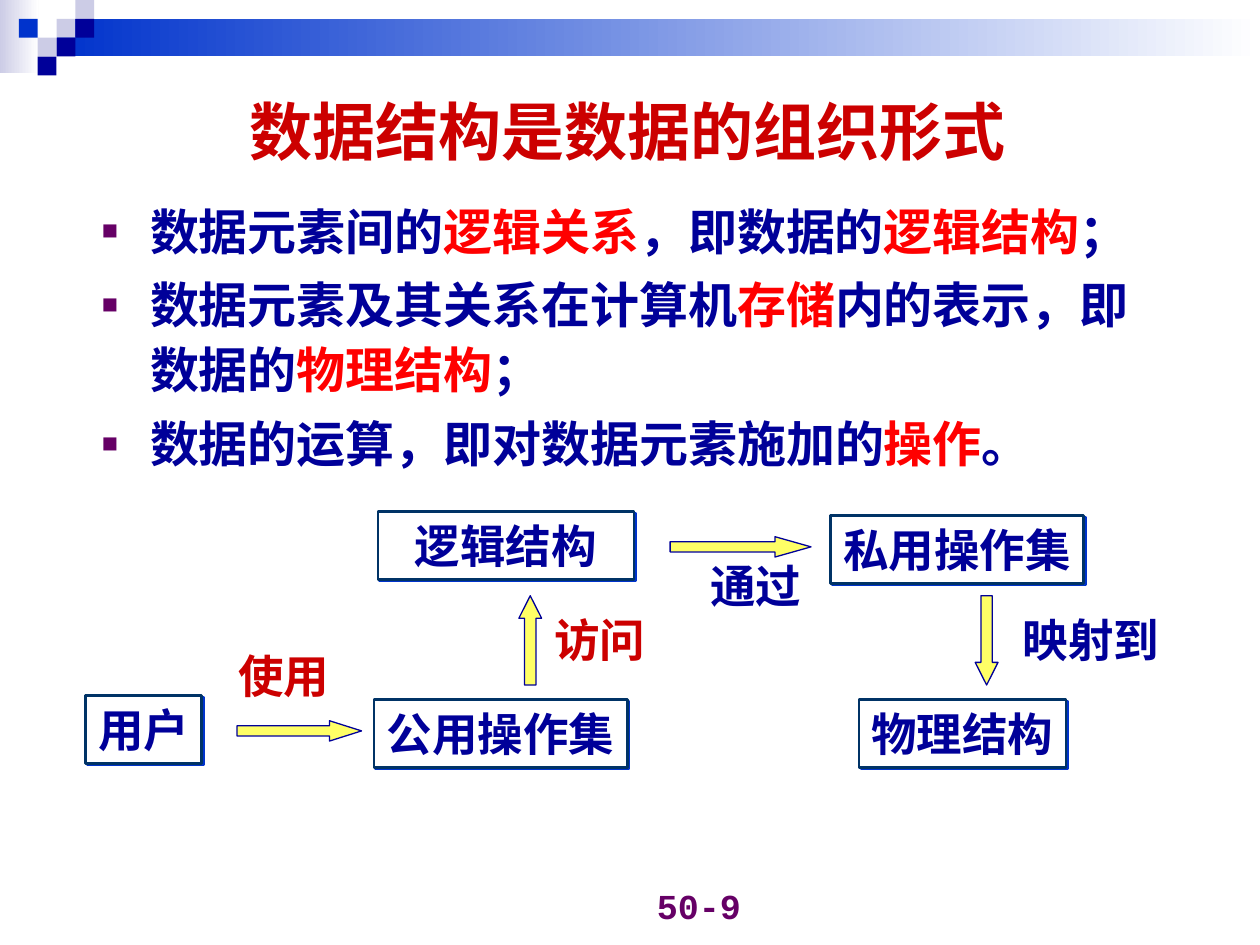
from lxml.etree import SubElement
from pptx import Presentation
from pptx.dml.color import RGBColor
from pptx.enum.shapes import MSO_SHAPE as Preset
from pptx.enum.text import MSO_ANCHOR as Anchor, MSO_AUTO_SIZE as AutoSize, PP_ALIGN as Align
from pptx.oxml.ns import qn
from pptx.util import Cm, Pt

COLORS = {
    "navy": "000099", "blue": "0033CC", "lilac": "CCCCE6", "white": "FFFFFF",
    "title": "CC0000", "key": "FF0000", "purple": "660066",
    "border": "003366", "yellow": "FFFF66",
}
RGB = {name: RGBColor.from_string(value) for name, value in COLORS.items()}


def format_run(run, size, color, font_name="Arial"):
    run.font.name = font_name
    run.font.size = Pt(size)
    run.font.bold = True
    run.font.color.rgb = RGB[color]


def write_line(frame, text, size, color, align=Align.CENTER, font_name="Arial"):
    frame.text = text
    frame.paragraphs[0].alignment = align
    format_run(frame.paragraphs[0].runs[0], size, color, font_name)


prs = Presentation()
prs.slide_width, prs.slide_height = Cm(25.4), Cm(19.05)
slide = prs.slides.add_slide(prs.slide_layouts[1])
shapes = slide.shapes

# Header: two fading bands
for left, top, width, height, start in [
    (0, 0, 0.78, 1.48, "lilac"),
    (1.14, 0.38, 24.26, 0.76, "blue"),
]:
    band = shapes.add_shape(Preset.RECTANGLE, Cm(left), Cm(top), Cm(width), Cm(height))
    band.shadow.inherit = False
    band.line.fill.background()
    band.fill.gradient()
    band.fill.gradient_angle = 0
    for stop, position, color in zip(band.fill.gradient_stops, (0, 1), (start, "white")):
        stop.position = position
        stop.color.rgb = RGB[color]

# Header: squares on a grid (column, row)
CELL = 0.38
for column, row, color in [
    (3, 1, "lilac"), (4, 0, "lilac"), (4, 1, "navy"), (2, 2, "lilac"),
    (1, 1, "blue"), (3, 2, "navy"), (2, 3, "navy"),
]:
    square = shapes.add_shape(Preset.RECTANGLE, Cm(column * CELL), Cm(row * CELL), Cm(CELL), Cm(CELL))
    square.shadow.inherit = False
    square.line.fill.background()
    square.fill.solid()
    square.fill.fore_color.rgb = RGB[color]

# Title
title = shapes.title
title.left, title.top, title.width, title.height = Cm(1.9), Cm(1.42), Cm(21.5), Cm(2.4)
title.text_frame.auto_size = AutoSize.NONE
title.text_frame.vertical_anchor = Anchor.MIDDLE
write_line(title.text_frame, "数据结构是数据的组织形式", 36, "title")

# Body: odd pieces of each point are key terms
points = [
    ["数据元素间的", "逻辑关系", "，即数据的", "逻辑结构", "；"],
    ["数据元素及其关系在计算机", "存储", "内的表示，即数据的", "物理结构", "；"],
    ["数据的运算，即对数据元素施加的", "操作", "。"],
]
body = slide.placeholders[1]
body.left, body.top, body.width, body.height = Cm(1.8), Cm(3.81), Cm(22.1), Cm(6.4)
body.text_frame.auto_size = AutoSize.NONE
for number, pieces in enumerate(points):
    point = body.text_frame.add_paragraph() if number else body.text_frame.paragraphs[0]
    point.line_spacing = 1.1
    point.space_before = Pt(5.2 if number else 0)
    properties = point._p.get_or_add_pPr()
    properties.set("marL", str(Cm(0.97)))
    properties.set("indent", str(Cm(-0.97)))
    bullet_color = SubElement(properties, qn("a:buClr"))
    SubElement(bullet_color, qn("a:srgbClr"), val=COLORS["purple"])
    SubElement(properties, qn("a:buSzPct"), val="55000")
    SubElement(properties, qn("a:buFont"), typeface="Arial")
    SubElement(properties, qn("a:buChar"), char="■")
    for index, piece in enumerate(pieces):
        run = point.add_run()
        run.text = piece
        format_run(run, 28, "key" if index % 2 else "navy")

# Diagram: boxes with a hard offset shadow
ROW_HEIGHT = 1.37
for text, left, top, width in [
    ("逻辑结构", 7.62, 10.31, 5.16),
    ("用户", 1.73, 14.02, 2.34),
    ("物理结构", 17.32, 14.1, 4.17),
    ("公用操作集", 7.54, 14.1, 5.11),
    ("私用操作集", 16.74, 10.39, 5.11),
]:
    box = shapes.add_shape(Preset.RECTANGLE, Cm(left), Cm(top), Cm(width), Cm(ROW_HEIGHT))
    box.fill.solid()
    box.fill.fore_color.rgb = RGB["white"]
    box.line.color.rgb = RGB["border"]
    box.line.width = Pt(1.5)
    box.shadow.inherit = False
    effects = box._element.spPr.find(qn("a:effectLst"))
    shadow = SubElement(effects, qn("a:outerShdw"), dist=str(Pt(1.4)), dir="2700000",
                        algn="ctr", rotWithShape="0")
    SubElement(shadow, qn("a:srgbClr"), val=COLORS["blue"])
    box.text_frame.word_wrap = False
    box.text_frame.vertical_anchor = Anchor.TOP
    write_line(box.text_frame, text, 26, "navy")

# Diagram: block arrows
for preset, left, top, width, height, head in [
    (Preset.RIGHT_ARROW, 4.78, 14.53, 2.51, 0.41, 1.58),
    (Preset.UP_ARROW, 10.46, 12.01, 0.46, 1.8, 0.99),
    (Preset.RIGHT_ARROW, 13.51, 10.82, 2.84, 0.41, 1.77),
    (Preset.DOWN_ARROW, 19.66, 12.01, 0.46, 1.8, 0.99),
]:
    arrow = shapes.add_shape(preset, Cm(left), Cm(top), Cm(width), Cm(height))
    arrow.adjustments[0] = 0.5
    arrow.adjustments[1] = head
    arrow.shadow.inherit = False
    arrow.fill.solid()
    arrow.fill.fore_color.rgb = RGB["yellow"]
    arrow.line.color.rgb = RGB["navy"]
    arrow.line.width = Pt(0.75)

# Diagram: arrow labels, each wide enough for one line
for text, left, top, width, color, align in [
    ("访问", 10.92, 12.22, 2.45, "title", Align.LEFT),
    ("使用", 4.55, 12.93, 2.45, "title", Align.LEFT),
    ("通过", 13.54, 11.13, 3.4, "navy", Align.CENTER),
    ("映射到", 20.37, 12.22, 3.5, "navy", Align.LEFT),
]:
    label = shapes.add_textbox(Cm(left), Cm(top), Cm(width), Cm(ROW_HEIGHT))
    label.text_frame.word_wrap = True
    write_line(label.text_frame, text, 26, color, align)

# Page number
page = shapes.add_textbox(Cm(9.27), Cm(17.53), Cm(5.92), Cm(1.27))
page.text_frame.word_wrap = True
page.text_frame.vertical_anchor = Anchor.BOTTOM
write_line(page.text_frame, "50-9", 20, "purple", Align.RIGHT, "Courier New")

prs.save("out.pptx")
